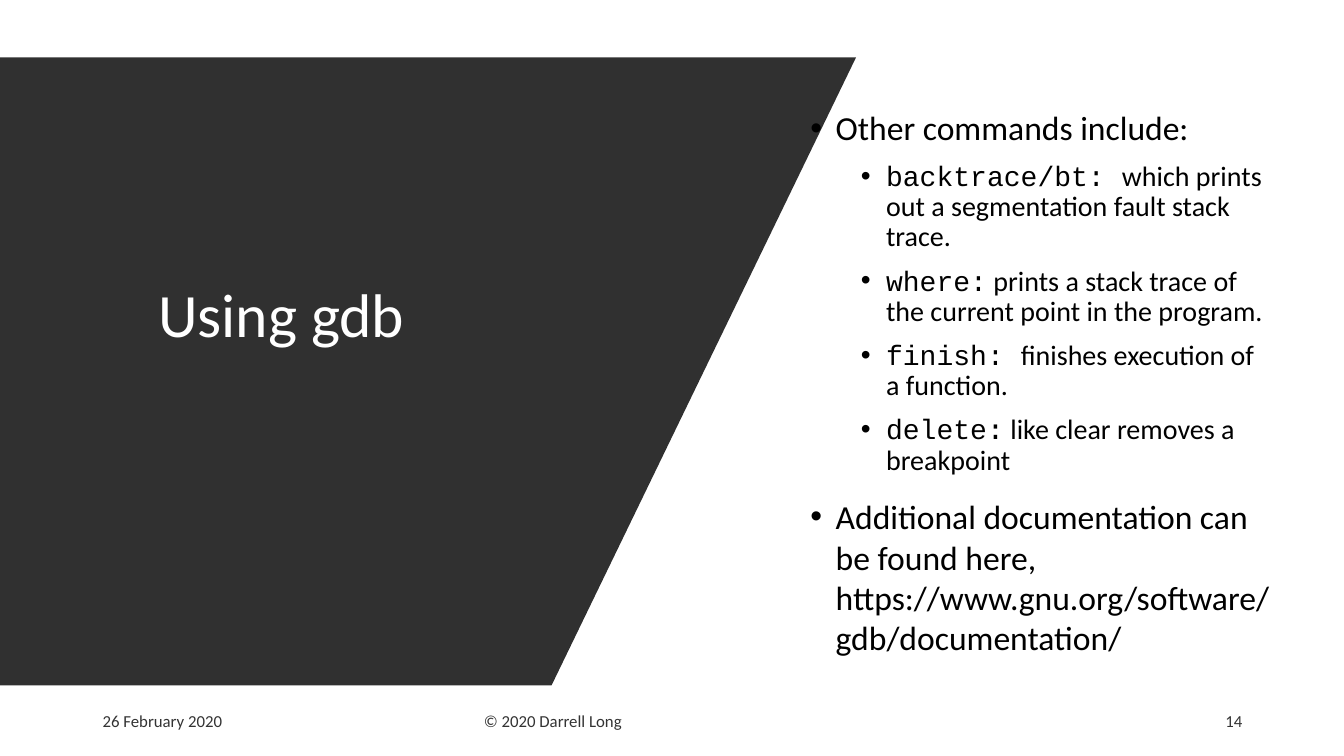
from dataclasses import dataclass

import pptx
import pptx.dml.color
import pptx.enum.shapes
import pptx.enum.text
import pptx.oxml.ns
import pptx.util
from lxml import etree
from pptx.util import Inches, Pt

ALIGN = pptx.enum.text.PP_ALIGN
ANCHOR = pptx.enum.text.MSO_ANCHOR


@dataclass(frozen=True)
class Theme:
    black: str = "000000"
    white: str = "FFFFFF"
    dark: str = "303030"
    foot: str = "333333"
    sans: str = "Calibri"
    code: str = "Courier New"
    mono: str = "DejaVu Sans Mono"
    title: int = 44
    main: int = 24
    sub: int = 20
    small: int = 12


THEME = Theme()

# level, space before, line spacing, runs of (text, font)
POINTS = [
    (0, 0, 0.9, [("Other commands include:", THEME.sans)]),
    (1, 10, 0.9, [("backtrace/bt: ", THEME.code),
                  ("which prints out a segmentation fault stack trace.", THEME.sans)]),
    (1, 10, 0.9, [("where:", THEME.code),
                  (" prints a stack trace of the current point in the program.", THEME.sans)]),
    (1, 10, 0.9, [("finish: ", THEME.code),
                  ("finishes execution of a function.", THEME.sans)]),
    (1, 10, 0.9, [("delete", THEME.code), (":", THEME.mono),
                  (" like clear removes a breakpoint", THEME.sans)]),
    (0, 14.2, 1.0, [("Additional documentation can be found here, "
                     "https://www.gnu.org/software/gdb/documentation/", THEME.sans)]),
]
FOOTER = [
    (0.92, 3, "26 February 2020", ALIGN.LEFT),
    (4.7, 6.48, "© 2020 Darrell Long", ALIGN.LEFT),
    (11.37, 1.05, "14", ALIGN.RIGHT),
]


def rgb(code):
    return pptx.dml.color.RGBColor.from_string(code)


def apply(target, style):
    for name, value in style.items():
        setattr(target, name, value)


def paint(shape, color):
    shape.shadow.inherit = False
    shape.fill.solid()
    shape.fill.fore_color.rgb = rgb(color)
    shape.line.fill.background()


def add_box(slide, place, anchor):
    frame = slide.shapes.add_textbox(*map(Inches, place)).text_frame
    apply(frame, {"word_wrap": True, "vertical_anchor": anchor})
    return frame


def add_run(para, text, font, size, color):
    run = para.add_run()
    run.text = text
    apply(run.font, {"name": font, "size": Pt(size)})
    run.font.color.rgb = rgb(color)


def add_bullet(para, level):
    """Hang the paragraph from a round bullet at its level's indent."""
    props = para._p.get_or_add_pPr()
    props.set("marL", str(Inches(0.25 + 0.5 * level)))
    props.set("indent", str(Inches(-0.25)))
    qn = pptx.oxml.ns.qn
    color = etree.SubElement(props, qn("a:buClr"))
    etree.SubElement(color, qn("a:srgbClr"), val=THEME.black)
    etree.SubElement(props, qn("a:buFont"), typeface="Arial")
    etree.SubElement(props, qn("a:buChar"), char="•")


def add_panel(slide):
    """Draw the dark panel with its slanted right side."""
    pen = slide.shapes.build_freeform(0, Inches(0.57))
    corners = [(8.49, 0.57), (5.47, 6.8), (0, 6.8)]
    pen.add_line_segments([(Inches(x), Inches(y)) for x, y in corners])
    paint(pen.convert_to_shape(), THEME.dark)


def add_title(slide, text):
    para = add_box(slide, (1.47, 2.55, 3.86, 1.2), ANCHOR.MIDDLE).paragraphs[0]
    para.line_spacing = 0.9
    add_run(para, text, THEME.sans, THEME.title, THEME.white)


def add_points(slide):
    frame = add_box(slide, (7.94, 1.06, 4.79, 5.21), ANCHOR.TOP)
    for index, (level, before, spacing, runs) in enumerate(POINTS):
        para = frame.add_paragraph() if index else frame.paragraphs[0]
        add_bullet(para, level)
        apply(para, {"level": level, "space_before": Pt(before),
                     "line_spacing": spacing})
        size = THEME.sub if level else THEME.main
        for text, font in runs:
            add_run(para, text, font, size, THEME.black)


def add_footer(slide):
    for left, width, text, align in FOOTER:
        para = add_box(slide, (left, 6.95, width, 0.4), ANCHOR.MIDDLE).paragraphs[0]
        apply(para, {"alignment": align, "space_after": Pt(6)})
        add_run(para, text, THEME.sans, THEME.small, THEME.foot)


def main():
    deck = pptx.Presentation()
    apply(deck, {"slide_width": Inches(13.33), "slide_height": Inches(7.5)})
    slide = deck.slides.add_slide(deck.slide_layouts[6])
    back = slide.background.fill
    back.solid()
    back.fore_color.rgb = rgb(THEME.black)
    page = slide.shapes.add_shape(pptx.enum.shapes.MSO_SHAPE.RECTANGLE, 0, 0,
                                  deck.slide_width, deck.slide_height)
    paint(page, THEME.white)
    add_panel(slide)
    add_title(slide, "Using gdb")
    add_points(slide)
    add_footer(slide)
    deck.save("out.pptx")


if __name__ == "__main__":
    main()
